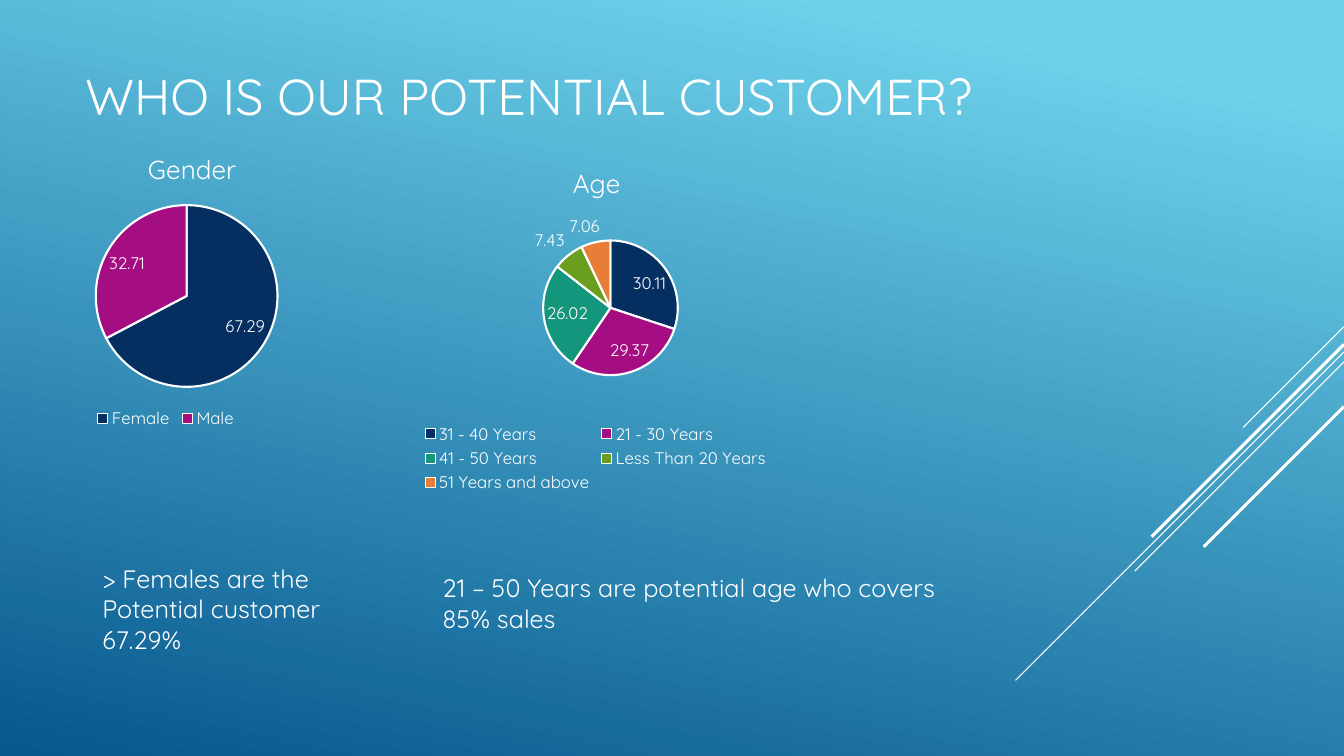
import dataclasses

import lxml.etree
import pptx
import pptx.chart.data
import pptx.dml.color
import pptx.enum.chart
import pptx.enum.shapes
import pptx.enum.text
import pptx.oxml.ns
import pptx.util

CELL = pptx.util.Inches(13.333) / 16  # square cells: 16 columns by 9 rows


@dataclasses.dataclass(frozen=True)
class Theme:
    """Colours, font and point sizes of the slide."""
    font: str = "Quicksand"
    white: str = "FFFFFF"
    sky: str = "6ED2EB"
    deep: str = "06588E"
    slices: tuple = ("052F61", "A50E82", "14967C", "6A9E1F", "E87D37")
    title: float = 36
    chart_title: float = 18.6
    body: float = 18
    chart_text: float = 12
    slice_line: float = 1.5
    thin: float = 0.75
    thick: float = 2.25


@dataclasses.dataclass(frozen=True)
class Box:
    """A region measured in grid columns and rows."""
    left: float
    top: float
    width: float
    height: float

    def lengths(self):
        """Return left, top, width and height as slide lengths."""
        return [round(value * CELL) for value in dataclasses.astuple(self)]


THEME = Theme()


def colour(code):
    """Return the colour for a hexadecimal code."""
    return pptx.dml.color.RGBColor.from_string(code)


def style_font(font, size):
    """Give a font the theme's typeface and white colour."""
    font.name = THEME.font
    font.size = pptx.util.Pt(size)
    font.bold = False
    font.color.rgb = colour(THEME.white)


def paint_background(slide):
    """Fill the slide with the sky-to-deep gradient."""
    fill = slide.background.fill
    fill.gradient()
    fill.gradient_angle = 258
    stops = ((0.1, THEME.sky), (1, THEME.deep))
    for stop, (position, code) in zip(fill.gradient_stops, stops):
        stop.position = position
        stop.color.rgb = colour(code)


def add_diagonals(slide, box):
    """Draw 45 degree lines down from the right edge of the box."""
    right = box.left + box.width
    diagonals = (  # rows below the box top, columns spanned, line width
        (0, 1.2, THEME.thin),
        (0.3, 3.91, THEME.thin),
        (0.42, 2.49, THEME.thin),
        (0.21, 2.29, THEME.thick),
        (0.95, 1.67, THEME.thick),
    )
    for drop, span, width in diagonals:
        top = box.top + drop
        ends = [round(value * CELL) for value in (right, top, right - span, top + span)]
        connector = slide.shapes.add_connector(pptx.enum.shapes.MSO_CONNECTOR.STRAIGHT, *ends)
        connector.line.color.rgb = colour(THEME.white)
        connector.line.width = pptx.util.Pt(width)
        properties = connector._element.spPr
        lxml.etree.SubElement(properties, pptx.oxml.ns.qn("a:effectLst"))


def add_text(slide, box, lines, size, anchor=pptx.enum.text.MSO_ANCHOR.TOP):
    """Place one paragraph per line of text in the box."""
    frame = slide.shapes.add_textbox(*box.lengths()).text_frame
    frame.word_wrap = True
    frame.vertical_anchor = anchor
    for index, line in enumerate(lines):
        paragraph = frame.add_paragraph() if index else frame.paragraphs[0]
        run = paragraph.add_run()
        run.text = line
        style_font(run.font, size)


def place_part(chart, tag, shares):
    """Fix a chart part by its x, y, width and height shares of the chart."""
    qn = pptx.oxml.ns.qn
    part = next(chart._chartSpace.iter(qn(tag)))
    for old in part.findall(qn("c:layout")):
        part.remove(old)
    layout = lxml.etree.Element(qn("c:layout"))
    manual = lxml.etree.SubElement(layout, qn("c:manualLayout"))
    settings = [("xMode", "edge"), ("yMode", "edge"), *zip("xywh", shares)]
    if tag == "c:plotArea":
        settings.insert(0, ("layoutTarget", "inner"))
    for name, value in settings:
        lxml.etree.SubElement(manual, qn("c:" + name)).set("val", str(value))
    overlay = part.find(qn("c:overlay"))
    if overlay is None:
        part.insert(0, layout)
    else:
        overlay.addprevious(layout)


def add_pie(slide, box, title, shares_by_group, layout):
    """Draw a titled pie with values and a bottom legend in the box."""
    data = pptx.chart.data.CategoryChartData()
    data.categories = list(shares_by_group)
    data.add_series(title, list(shares_by_group.values()))
    kind = pptx.enum.chart.XL_CHART_TYPE.PIE
    chart = slide.shapes.add_chart(kind, *box.lengths(), data).chart
    style_font(chart.font, THEME.chart_text)

    chart.has_title = True
    run = chart.chart_title.text_frame.paragraphs[0].add_run()
    run.text = title
    style_font(run.font, THEME.chart_title)

    chart.has_legend = True
    chart.legend.position = pptx.enum.chart.XL_LEGEND_POSITION.BOTTOM
    chart.legend.include_in_layout = False
    style_font(chart.legend.font, THEME.chart_text)

    plot = chart.plots[0]
    plot.vary_by_categories = True
    plot.has_data_labels = True
    labels = plot.data_labels
    labels.show_value = True
    labels.show_percentage = False
    labels.position = pptx.enum.chart.XL_LABEL_POSITION.BEST_FIT
    style_font(labels.font, THEME.chart_text)
    for index, code in enumerate(THEME.slices[:len(shares_by_group)]):
        piece = plot.series[0].points[index].format
        piece.fill.solid()
        piece.fill.fore_color.rgb = colour(code)
        piece.line.color.rgb = colour(THEME.white)
        piece.line.width = pptx.util.Pt(THEME.slice_line)

    for tag, shares in layout.items():
        place_part(chart, tag, shares)


def build_customer_slide(presentation):
    """Build the slide on potential customers by gender and age."""
    slide = presentation.slides.add_slide(presentation.slide_layouts[6])
    paint_background(slide)
    add_diagonals(slide, Box(12.08, 3.89, 3.92, 4.21))
    add_text(slide, Box(0.9, 0.71, 11.2, 0.85), ["WHO IS OUR POTENTIAL CUSTOMER?"],
             THEME.title, pptx.enum.text.MSO_ANCHOR.MIDDLE)
    add_pie(slide, Box(0, 1.51, 4.49, 3.73), "Gender", {"Female": 67.29, "Male": 32.71},
            {"c:title": (0.38, 0.06),
             "c:plotArea": (0.25, 0.25, 0.49, 0.58),
             "c:legend": (0.24, 0.89, 0.4, 0.08)})
    ages = {"31 - 40 Years": 30.11, "21 - 30 Years": 29.37, "41 - 50 Years": 26.02,
            "Less Than 20 Years": 7.43, "51 Years and above": 7.06}
    add_pie(slide, Box(4.09, 1.64, 5.94, 4.31), "Age", ages,
            {"c:title": (0.45, 0.06),
             "c:plotArea": (0.4, 0.28, 0.27, 0.38),
             "c:legend": (0.15, 0.78, 0.71, 0.21)})
    add_text(slide, Box(1.1, 6.65, 2.99, 1.21),
             ["> Females are the", "Potential customer", "67.29%"], THEME.body)
    add_text(slide, Box(5.15, 6.76, 6.55, 0.85),
             ["21 – 50 Years are potential age who covers", "85% sales"], THEME.body)


presentation = pptx.Presentation()
presentation.slide_width = round(16 * CELL)
presentation.slide_height = round(9 * CELL)
build_customer_slide(presentation)
presentation.save("out.pptx")
